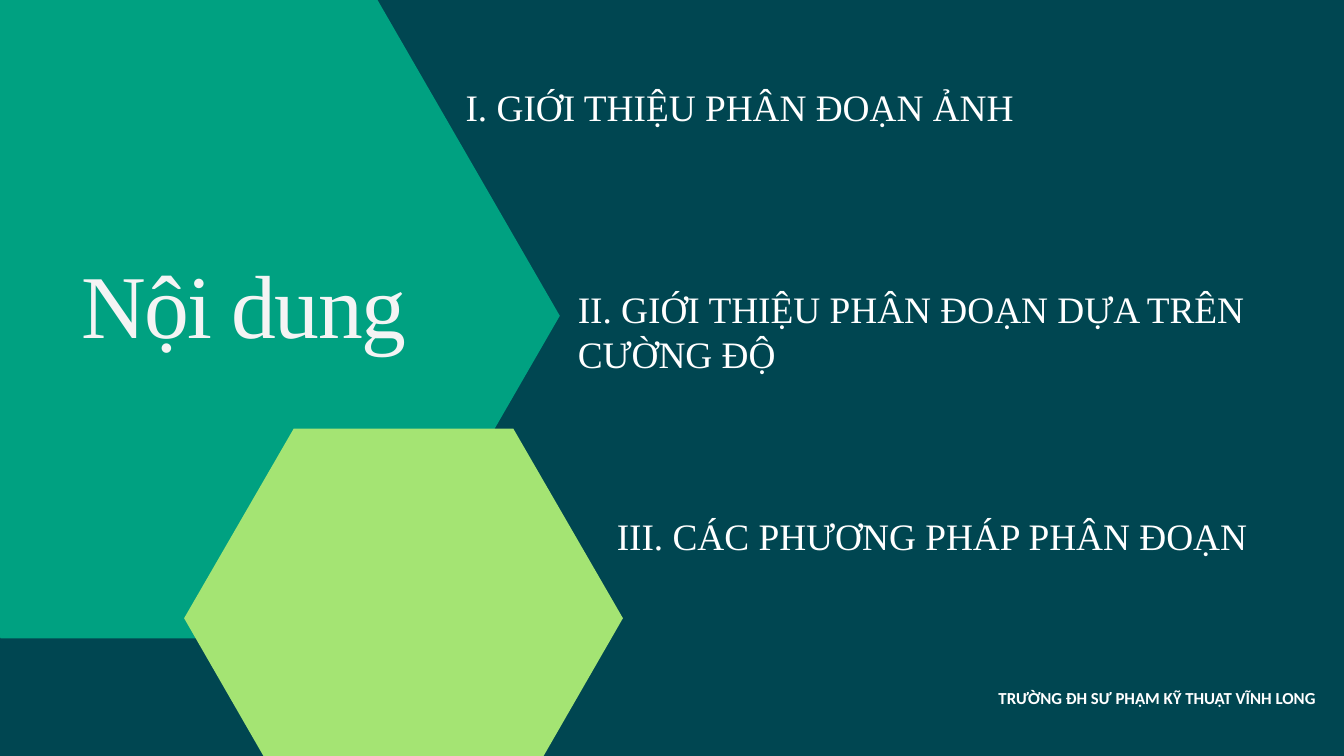
from dataclasses import dataclass

import pptx
import pptx.dml.color
import pptx.enum.text
import pptx.slide
import pptx.util

PX = 9144  # EMU per px, 100 px to the inch
COLORS = {
    "background": "004651",
    "green": "00A181",
    "lime": "A4E473",
    "title": "F4F4F4",
    "white": "FFFFFF",
}
SERIF = "Times New Roman"


@dataclass
class Hexagon:
    left: int
    top: int
    width: int
    height: int
    color: str


@dataclass
class Item:
    text: str
    left: int
    top: int
    width: int
    height: int
    wrap: bool = True


HEXAGONS = [
    Hexagon(-276, -10, 1109, 960, "green"),
    Hexagon(274, 638, 653, 565, "lime"),
]
ITEMS = [
    Item("I. GIỚI THIỆU PHÂN ĐOẠN ẢNH", 683, 121, 845, 77, wrap=False),
    Item("II. GIỚI THIỆU PHÂN ĐOẠN DỰA TRÊN CƯỜNG ĐỘ", 850, 421, 1208, 145),
    Item("III. CÁC PHƯƠNG PHÁP PHÂN ĐOẠN", 908, 759, 1137, 77),
]


def rgb(name: str) -> pptx.dml.color.RGBColor:
    return pptx.dml.color.RGBColor.from_string(COLORS[name])


def draw_hexagon(slide: pptx.slide.Slide, hexagon: Hexagon) -> None:
    left, top = hexagon.left, hexagon.top
    right, bottom = left + hexagon.width, top + hexagon.height
    middle = top + hexagon.height // 2
    inset = hexagon.width // 4
    builder = slide.shapes.build_freeform(right, middle, scale=PX)
    builder.add_line_segments([
        (right - inset, bottom), (left + inset, bottom), (left, middle),
        (left + inset, top), (right - inset, top),
    ], close=True)
    shape = builder.convert_to_shape()
    shape.shadow.inherit = False
    shape.fill.solid()
    shape.fill.fore_color.rgb = rgb(hexagon.color)
    shape.line.fill.background()


def add_text(slide: pptx.slide.Slide, text: str, left: int, top: int,
             width: int, height: int, *, size: int = 40, font: str = SERIF,
             color: str = "white", bold: bool = False, wrap: bool = True,
             inset: bool = True, line_points: float | None = None,
             tracking: int = 0) -> None:
    shape = slide.shapes.add_textbox(
        left * PX, top * PX, width * PX, height * PX)
    frame = shape.text_frame
    frame.word_wrap = wrap
    frame.auto_size = pptx.enum.text.MSO_AUTO_SIZE.SHAPE_TO_FIT_TEXT
    if not inset:
        frame.margin_left = frame.margin_right = 0
        frame.margin_top = frame.margin_bottom = 0
    paragraph = frame.paragraphs[0]
    if line_points:
        paragraph.line_spacing = pptx.util.Pt(line_points)
    run = paragraph.add_run()
    run.text = text
    run.font.name = font
    run.font.size = pptx.util.Pt(size)
    run.font.bold = bold
    run.font.color.rgb = rgb(color)
    if tracking:  # hundredths of a point
        run._r.get_or_add_rPr().set("spc", str(tracking))


def main() -> None:
    presentation = pptx.Presentation()
    presentation.slide_width = 2000 * PX
    presentation.slide_height = 1125 * PX
    slide = presentation.slides.add_slide(presentation.slide_layouts[6])
    slide.background.fill.solid()
    slide.background.fill.fore_color.rgb = rgb("background")

    # Hexagons on the left
    for hexagon in HEXAGONS:
        draw_hexagon(slide, hexagon)

    # Title
    add_text(slide, "Nội dung", 121, 455, 708, 77, size=96, color="title",
             inset=False, line_points=54.6, tracking=-170)

    # Contents
    for item in ITEMS:
        add_text(slide, item.text, item.left, item.top, item.width,
                 item.height, wrap=item.wrap)

    # School name
    add_text(slide, "TRƯỜNG ĐH SƯ PHẠM KỸ THUẬT VĨNH LONG", 1476, 1019, 498,
             40, size=18, font="Calibri", bold=True, wrap=False)

    presentation.save("out.pptx")


if __name__ == "__main__":
    main()
